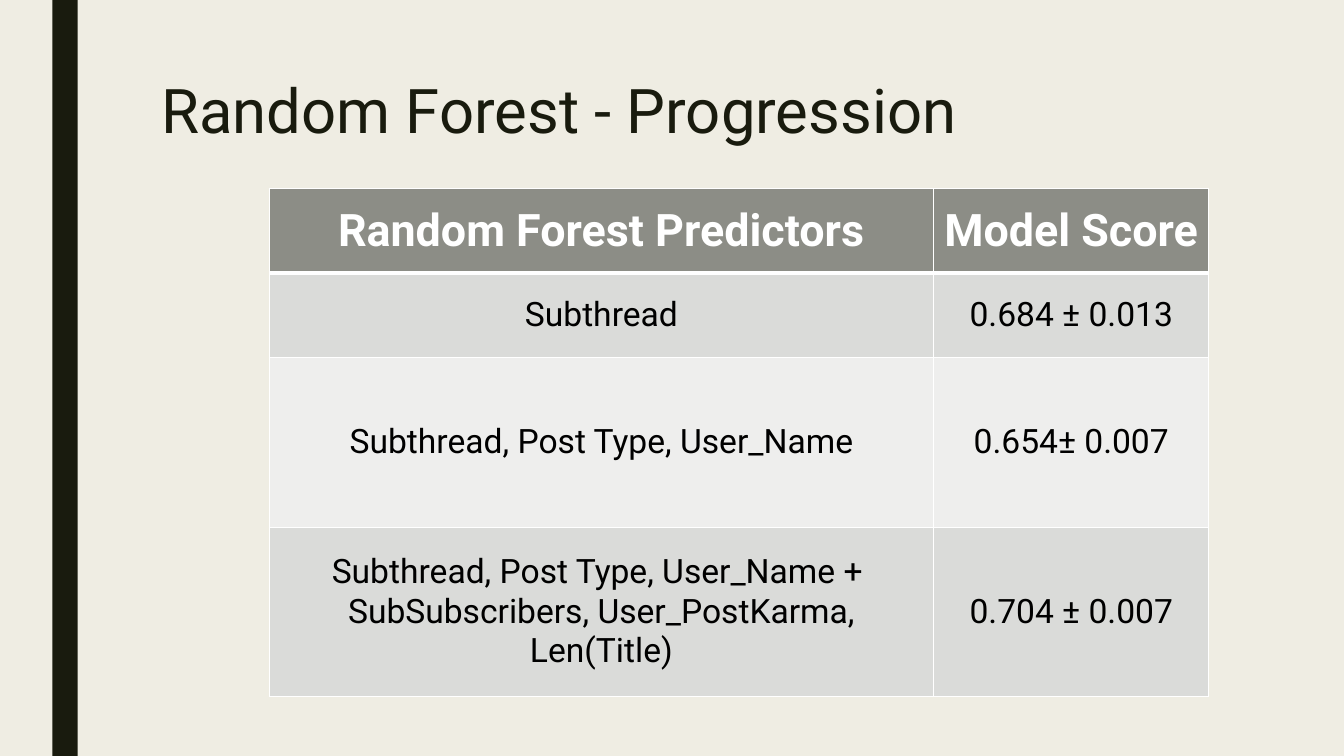
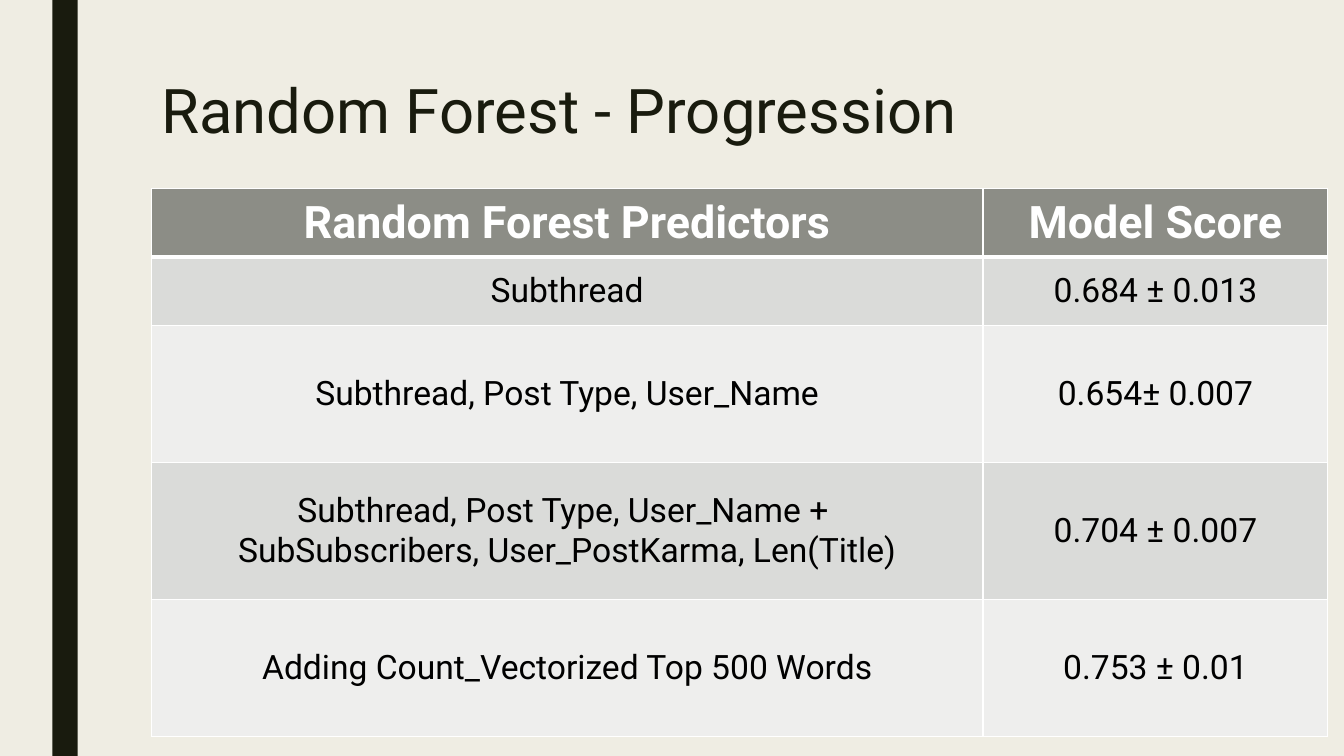
from lxml import etree
from pptx import Presentation
from pptx.dml.color import RGBColor
from pptx.enum.shapes import MSO_SHAPE
from pptx.enum.text import MSO_ANCHOR, MSO_AUTO_SIZE, PP_ALIGN
from pptx.oxml.ns import qn
from pptx.util import Inches, Pt

RECT = MSO_SHAPE.RECTANGLE
LEFT, CENTER = PP_ALIGN.LEFT, PP_ALIGN.CENTER
TOP, MIDDLE = MSO_ANCHOR.TOP, MSO_ANCHOR.MIDDLE
NO_FIT = MSO_AUTO_SIZE.NONE
TITLE_ONLY = 5

FONT = "Roboto"
COLORS = {
    "paper": "EFEDE3",
    "ink": "191B0E",
    "head": "8C8D86",
    "odd": "DADBD9",
    "even": "EEEEED",
    "white": "FFFFFF",
    "black": "000000",
}

TITLE = "Random Forest - Progression"
HEADER = ("Random Forest Predictors", "Model Score")
SCORES = [
    ("Subthread", "0.684 ± 0.013"),
    ("Subthread, Post Type, User_Name", "0.654± 0.007"),
    ("Subthread, Post Type, User_Name + \nSubSubscribers, User_PostKarma, Len(Title)",
     "0.704 ± 0.007"),
    ("Adding Count_Vectorized Top 500 Words", "0.753 ± 0.01"),
]
SLIDES = [
    {"count": 3, "left": 2.67, "cols": (6.59, 2.73), "unit": 0.84},
    {"count": 4, "left": 1.5, "cols": (8.25, 3.42), "unit": 0.68},
]
TABLE_TOP = 1.87


def color(name):
    return RGBColor.from_string(COLORS[name])


def paint(fill, name):
    fill.solid()
    fill.fore_color.rgb = color(name)


def write(frame, text, size, ink, bold=False, align=LEFT, anchor=TOP, spacing=None):
    frame.word_wrap = True
    frame.vertical_anchor = anchor
    para = frame.paragraphs[0]
    para.text = text
    para.alignment = align
    para.line_spacing = spacing
    for run in para.runs:
        font = run.font
        font.name, font.size, font.bold = FONT, Pt(size), bold
        font.color.rgb = color(ink)


def add_borders(cell, top, bottom):
    """Draw white cell borders; top and bottom are widths in points."""
    props = cell._tc.get_or_add_tcPr()
    for side, width in (("L", 1), ("R", 1), ("T", top), ("B", bottom)):
        line = etree.SubElement(props, qn(f"a:ln{side}"), w=str(Pt(width)))
        fill = etree.SubElement(line, qn("a:solidFill"))
        etree.SubElement(fill, qn("a:srgbClr"), val=COLORS["white"])


def add_frame(slide):
    """Add the side band and the title."""
    band = slide.shapes.add_shape(RECT, Inches(0.52), 0, Inches(0.25), Inches(7.5))
    band.shadow.inherit = False
    paint(band.fill, "ink")
    band.line.fill.background()

    title = slide.shapes.title
    title.left, title.top = Inches(1.5), Inches(0.75)
    title.width, title.height = Inches(10.5), Inches(0.95)
    title.text_frame.auto_size = NO_FIT
    write(title.text_frame, TITLE, 44, "ink", spacing=0.89)


def add_scores(slide, count, left, cols, unit):
    """Add the score table; rows after the first score are two units high."""
    rows = [HEADER] + SCORES[:count]
    heights = [unit if r < 2 else 2 * unit for r in range(len(rows))]
    table = slide.shapes.add_table(
        len(rows), len(cols), Inches(left), Inches(TABLE_TOP),
        Inches(sum(cols)), Inches(sum(heights))).table
    for column, width in zip(table.columns, cols):
        column.width = Inches(width)
    for r, (texts, height) in enumerate(zip(rows, heights)):
        table.rows[r].height = Inches(height)
        head = r == 0
        shade = "head" if head else "odd" if r % 2 else "even"
        for c, text in enumerate(texts):
            cell = table.cell(r, c)
            add_borders(cell, top=3 if r == 1 else 1, bottom=3 if head else 1)
            paint(cell.fill, shade)
            cell.vertical_anchor = MIDDLE
            write(cell.text_frame, text, 32 if head else 24,
                  "white" if head else "black", bold=head, align=CENTER, anchor=MIDDLE)


def main():
    prs = Presentation()
    prs.slide_width, prs.slide_height = Inches(13.33), Inches(7.5)
    paint(prs.slide_master.background.fill, "paper")
    for spec in SLIDES:
        slide = prs.slides.add_slide(prs.slide_layouts[TITLE_ONLY])
        add_frame(slide)
        add_scores(slide, **spec)
    prs.save("out.pptx")


if __name__ == "__main__":
    main()
